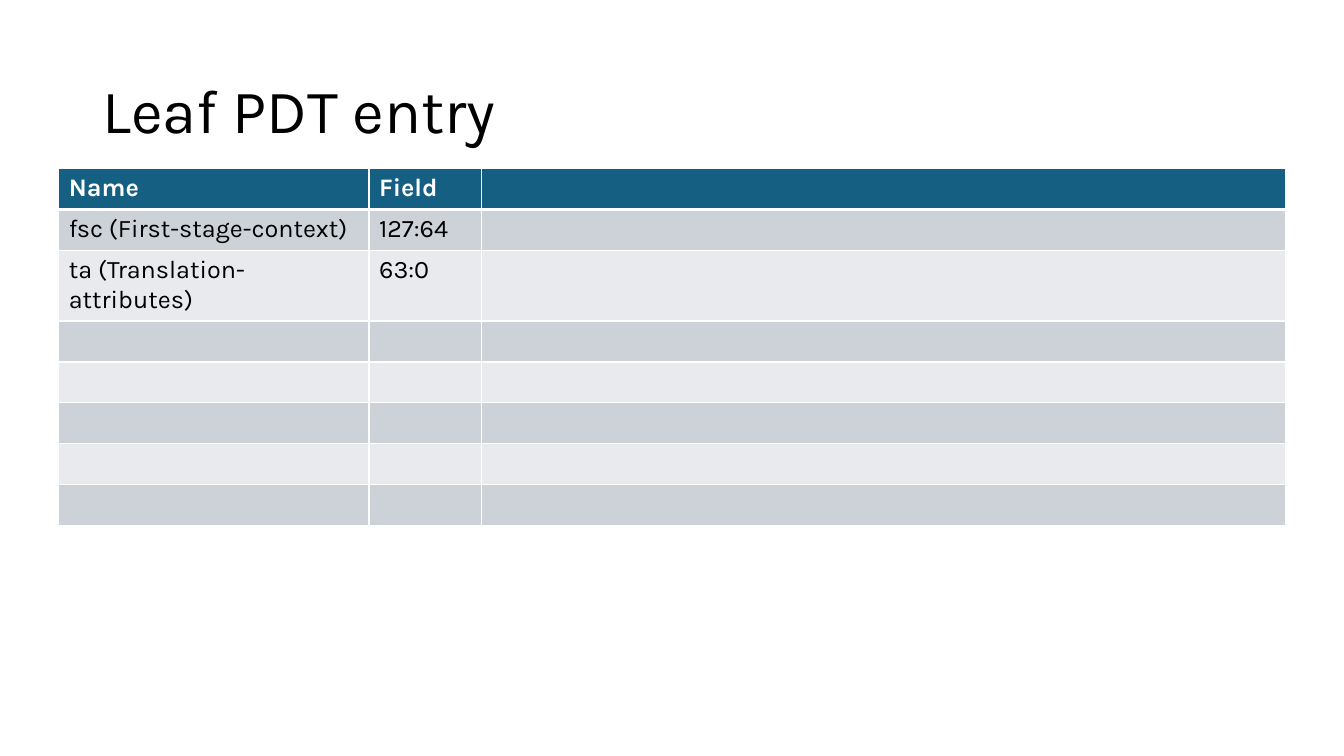
from pptx import Presentation, util as u
from pptx.dml.color import RGBColor
from pptx.enum import text
from pptx.oxml import parse_xml
from pptx.oxml.ns import nsdecls


def style(font, size, color, bold=False):
    look = {"name": "Karla", "size": u.Pt(size), "bold": bold}
    for key, value in look.items():
        setattr(font, key, value)
    font.color.rgb = RGBColor.from_string(color)


def edge(cell, side, width):
    cell._tc.get_or_add_tcPr().append(parse_xml(
        f'<a:{side} {nsdecls("a")} w="{u.Pt(width)}"><a:solidFill>'
        f'<a:srgbClr val="FFFFFF"/></a:solidFill></a:{side}>'))


deck = Presentation()
deck.slide_width, deck.slide_height = u.Cm(33.87), u.Cm(19.05)
slide = deck.slides.add_slide(deck.slide_layouts[5])

title = slide.shapes.title
place = {"left": 2.33, "top": 1.01, "width": 29.21, "height": 3.68}
for key, value in place.items():
    setattr(title, key, u.Cm(value))
frame = title.text_frame
frame.text = "Leaf PDT entry"
frame.auto_size = text.MSO_AUTO_SIZE.NONE
frame.vertical_anchor = text.MSO_ANCHOR.MIDDLE
head = frame.paragraphs[0]
head.alignment = text.PP_ALIGN.LEFT
head.line_spacing = 0.9
style(head.runs[0].font, 44, "000000")

rows = [
    ("Name", "Field", ""),
    ("fsc (First-stage-context)", "127:64", ""),
    ("ta (Translation-attributes)", "63:0", ""),
] + [("", "", "")] * 5
wide = [7.82, 2.84, 20.25]
tall = [1.03, 1.03, 1.78] + [1.03] * 5

table = slide.shapes.add_table(
    len(rows), len(wide), u.Cm(1.48), u.Cm(4.25),
    u.Cm(sum(wide)), u.Cm(sum(tall))).table
for col, width in zip(table.columns, wide):
    col.width = u.Cm(width)
for row, height in zip(table.rows, tall):
    row.height = u.Cm(height)

for r, words in enumerate(rows):
    top = r == 0
    fill = "156082" if top else ("E8EAED", "CCD2D8")[r % 2]
    for c, word in enumerate(words):
        cell = table.cell(r, c)
        for side in ("lnL", "lnR", "lnT", "lnB"):
            thick = (top and side == "lnB") or (r == 1 and side == "lnT")
            edge(cell, side, 3 if thick else 1)
        cell.fill.solid()
        cell.fill.fore_color.rgb = RGBColor.from_string(fill)
        if word:
            cell.text = word
            run = cell.text_frame.paragraphs[0].runs[0]
            style(run.font, 18, "FFFFFF" if top else "000000", top)

deck.save("out.pptx")
